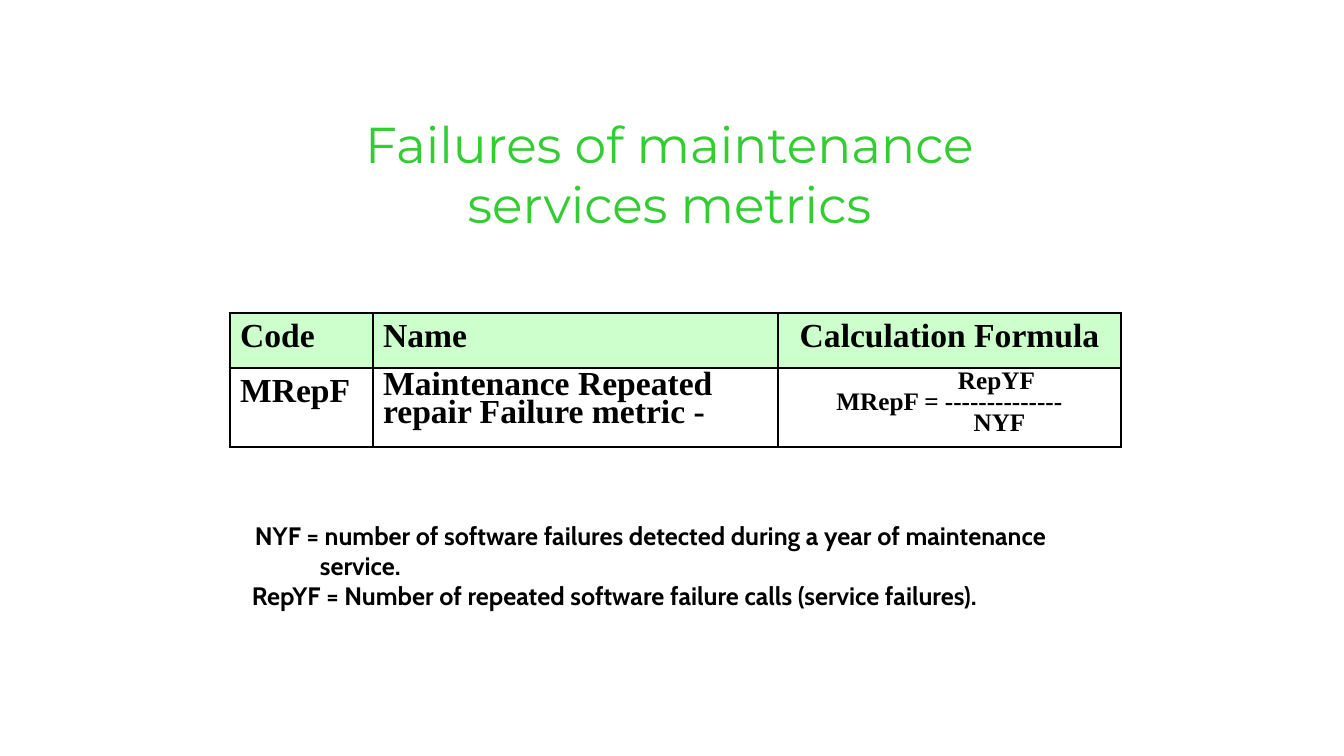
"""Build a slide on the failures of maintenance services metrics."""
from dataclasses import dataclass

from lxml import etree
from pptx import Presentation, util as u
from pptx.dml.color import RGBColor
from pptx.enum import text as t
from pptx.oxml import ns

TITLE = ["Failures of maintenance", "services metrics"]
HEADS = ["Code", "Name", "Calculation Formula"]
METRIC = ["MRepF", "Maintenance Repeated repair Failure metric -"]
FORMULA = [("RepYF", 94), ("MRepF = --------------", 0), ("NYF", 100)]
NOTES = [
    ("NYF = number of software failures detected during a year of maintenance\vservice.", 68, -65),
    ("RepYF = Number of repeated software failure calls (service failures).", 0, 0),
]
COLS, ROWS = [143, 405, 343], [55, 79]


@dataclass(frozen=True)
class Theme:
    ink: str = "000000"
    title: str = "33CC33"
    head: str = "CCFFCC"
    body: str = "FFFFFF"
    big: int = 36
    mid: int = 24
    small: int = 18
    thick: float = 2.25
    thin: float = 1


LOOK = Theme()
SCALE = 914400 / 100.8


def px(n):
    return u.Emu(round(n * SCALE))


def write(frame, lines, font, size, color=LOOK.ink, bold=True, align=t.PP_ALIGN.LEFT, space=1.0):
    """Fill a frame with (text, margin, indent) lines."""
    for i, (line, left, indent) in enumerate(lines):
        para = frame.paragraphs[0] if i == 0 else frame.add_paragraph()
        para.text = line
        para.alignment, para.line_spacing = align, space
        para.space_before = u.Pt(0)
        props = para._p.get_or_add_pPr()
        props.set("marL", str(px(left)))
        props.set("indent", str(px(indent)))
        for run in para.runs:
            run.font.name, run.font.size, run.font.bold = font, u.Pt(size), bold
            run.font.color.rgb = RGBColor.from_string(color)


def border(cell, sides):
    """Draw the sides of a cell, given as a width for each of L, R, T, B."""
    props = cell._tc.get_or_add_tcPr()
    for side, width in sides.items():
        line = etree.SubElement(props, ns.qn("a:ln" + side), w=str(u.Pt(width)))
        fill = etree.SubElement(line, ns.qn("a:solidFill"))
        etree.SubElement(fill, ns.qn("a:srgbClr"), val=LOOK.ink)


def add_title(slide):
    title = slide.shapes.title
    title.left, title.top, title.width, title.height = map(px, (337, 108, 665, 127))
    frame = title.text_frame
    frame.auto_size = t.MSO_AUTO_SIZE.NONE
    frame.vertical_anchor = t.MSO_ANCHOR.TOP
    write(frame, [(line, 0, 0) for line in TITLE], "Montserrat", LOOK.big,
          color=LOOK.title, bold=False, align=t.PP_ALIGN.CENTER)


def add_grid(slide):
    table = slide.shapes.add_table(
        len(ROWS), len(COLS), px(230), px(313), px(sum(COLS)), px(sum(ROWS))).table
    table.first_row = table.horz_banding = False
    for col, width in zip(table.columns, COLS):
        col.width = px(width)
    for row, height in zip(table.rows, ROWS):
        row.height = px(height)
    cells = [[[(name, 0, 0)] for name in HEADS],
             [[(name, 0, 0)] for name in METRIC] + [[(name, left, 0) for name, left in FORMULA]]]
    last_row, last_col = len(ROWS) - 1, len(COLS) - 1
    for r, row in enumerate(cells):
        for c, lines in enumerate(row):
            cell = table.cell(r, c)
            edges = {"L": c == 0, "R": c == last_col, "T": r == 0, "B": r == last_row}
            border(cell, {side: LOOK.thick if edge else LOOK.thin for side, edge in edges.items()})
            cell.fill.solid()
            cell.fill.fore_color.rgb = RGBColor.from_string(LOOK.body if r else LOOK.head)
            write(cell.text_frame, lines, "Times New Roman",
                  LOOK.small if len(lines) > 1 else LOOK.mid,
                  align=t.PP_ALIGN.CENTER if c == last_col else t.PP_ALIGN.LEFT,
                  space=0.75 if r and c else 1.0)


def add_notes(slide):
    frame = slide.shapes.add_textbox(px(242), px(515), px(887), px(101)).text_frame
    frame.word_wrap = True
    write(frame, NOTES, "Cabin", LOOK.small)


def main():
    deck = Presentation()
    deck.slide_width, deck.slide_height = px(1344), px(756)
    slide = deck.slides.add_slide(deck.slide_layouts[5])
    add_title(slide)
    add_grid(slide)
    add_notes(slide)
    deck.save("out.pptx")


if __name__ == "__main__":
    main()
